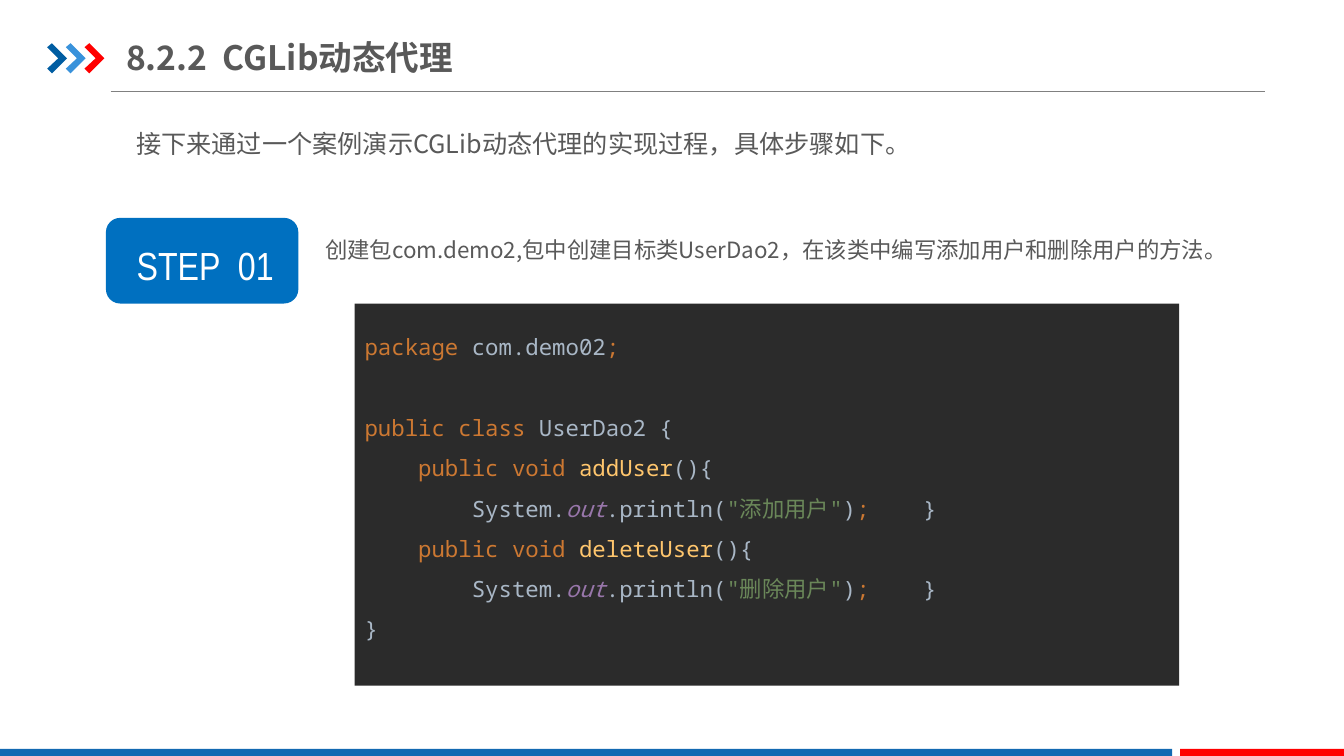
from copy import deepcopy

from lxml import etree
from pptx import Presentation
from pptx import util as u
from pptx.dml.color import RGBColor
from pptx.enum import shapes, text
from pptx.oxml import ns

COLORS = {
    "grey": "595959", "rule": "808080", "white": "FFFFFF", "badge": "0070C0",
    "navy": "005DA2", "sky": "3992DB", "red": "FF0000", "footer": "1369B2",
    "editor": "2B2B2B", "keyword": "CC7832", "plain": "A9B7C6",
    "method": "FFC66D", "field": "9876AA", "string": "6A8759",
}
SANS, MONO, NARROW = "Noto Sans CJK SC", "Noto Sans Mono", "Arial Narrow"

TITLE = "8.2.2  CGLib动态代理"
INTRO = "接下来通过一个案例演示CGLib动态代理的实现过程，具体步骤如下。"
BADGE = "STEP  01"
STEP = "创建包com.demo2,包中创建目标类UserDao2，在该类中编写添加用户和删除用户的方法。"
METHODS = [("addUser", "添加用户"), ("deleteUser", "删除用户")]

CHEVRON = [(0, 0.1), (0.12, 0), (0.5, 0.38), (0.12, 0.76), (0, 0.64), (0.28, 0.38)]
CHEVRON_COLORS = ["navy", "sky", "red"]
CHEVRON_LEFT, CHEVRON_TOP, CHEVRON_STEP = 1.19, 1.09, 0.47
FOOTER = [("footer", 0, 29.54), ("red", 29.74, 4.13)]


def method_lines(name, message):
    """Return the two code lines of one method as (colour, text) pairs."""
    return [
        [("keyword", "    public void "), ("method", name), ("plain", "(){")],
        [("plain", "        System."), ("field", "out"), ("plain", ".println("),
         ("string", '"'), ("string", message), ("string", '"'),
         ("plain", ")"), ("keyword", ";    "), ("plain", "}")],
    ]


CODE = [
    [("keyword", "package "), ("plain", "com.demo02"), ("keyword", ";")],
    [],
    [("keyword", "public class "), ("plain", "UserDao2 {")],
    *[line for method in METHODS for line in method_lines(*method)],
    [("plain", "}")],
    [],
]


def paint(shape, color):
    """Give a shape a plain fill without line or shadow."""
    shape.shadow.inherit = False
    shape.fill.solid()
    shape.fill.fore_color.rgb = RGBColor.from_string(COLORS[color])
    shape.line.fill.background()
    return shape


def add_block(page, kind, color, *place):
    """Add a filled preset shape at a place given in centimetres."""
    return paint(page.shapes.add_shape(kind, *map(u.Cm, place)), color)


def add_span(para, words, color, font, size, **styles):
    """Add a run with its Latin and East Asian font."""
    span = para.add_run()
    span.text = words
    for key, value in dict(name=font, size=u.Pt(size), **styles).items():
        setattr(span.font, key, value)
    span.font.color.rgb = RGBColor.from_string(COLORS[color])
    etree.SubElement(span._r.rPr, ns.qn("a:ea"), typeface=font)
    return span


def set_frame(frame, spacing=None, align=text.PP_ALIGN.LEFT, **formats):
    """Format a text frame and return its first paragraph."""
    for key, value in formats.items():
        setattr(frame, key, value)
    para = frame.paragraphs[0]
    para.alignment = align
    if spacing:
        para.line_spacing = spacing
    return para


def add_label(page, words, size, place, bold=False, spacing=None, **formats):
    """Add a one-line grey text box."""
    box = page.shapes.add_textbox(*map(u.Cm, place))
    para = set_frame(box.text_frame, spacing, **formats)
    add_span(para, words, "grey", SANS, size, bold=bold)


def add_header(page):
    """Draw the heading rule, the chevrons and the footer bars."""
    rule = page.shapes.add_connector(
        shapes.MSO_CONNECTOR.STRAIGHT, *map(u.Cm, (2.79, 2.31, 31.88, 2.31)))
    rule.line.color.rgb = RGBColor.from_string(COLORS["rule"])
    rule.line.width = u.Pt(0.5)
    etree.SubElement(rule._element.spPr, ns.qn("a:effectLst"))
    for index, color in enumerate(CHEVRON_COLORS):
        left = CHEVRON_LEFT + index * CHEVRON_STEP
        points = [(u.Cm(left + x), u.Cm(CHEVRON_TOP + y)) for x, y in CHEVRON]
        outline = page.shapes.build_freeform(*points[0])
        outline.add_line_segments(points[1:], close=True)
        paint(outline.convert_to_shape(), color)
    for color, left, width in FOOTER:
        add_block(page, shapes.MSO_SHAPE.RECTANGLE, color, left, 18.87, width, 0.22)


def add_code(page):
    """Draw the editor panel with its coloured code lines."""
    panel = add_block(page, shapes.MSO_SHAPE.RECTANGLE, "editor", 8.94, 7.65, 20.78, 9.63)
    para = set_frame(panel.text_frame, 1.5, word_wrap=True,
                     vertical_anchor=text.MSO_ANCHOR.MIDDLE)
    messages = [message for _, message in METHODS]
    for number, line in enumerate(CODE):
        if number:
            para.add_line_break()
            para._p[-1].append(deepcopy(span._r.rPr))
        for color, words in line:
            font = SANS if words in messages else MONO
            span = add_span(para, words, color, font, 16, italic=color == "field")
    ending = etree.SubElement(para._p, ns.qn("a:endParaRPr"), sz="1600")
    etree.SubElement(ending, ns.qn("a:latin"), typeface=MONO)


def main():
    """Build the slide and save it."""
    deck = Presentation()
    deck.slide_width, deck.slide_height = u.Cm(33.87), u.Cm(19.05)
    page = deck.slides.add_slide(deck.slide_layouts[6])
    add_header(page)
    badge = add_block(page, shapes.MSO_SHAPE.ROUNDED_RECTANGLE, "badge", 2.67, 5.49, 4.85, 2.16)
    para = set_frame(badge.text_frame, align=text.PP_ALIGN.CENTER, word_wrap=True,
                     vertical_anchor=text.MSO_ANCHOR.MIDDLE, margin_left=u.Cm(0.4),
                     margin_top=u.Cm(0.3), margin_bottom=u.Cm(0.1))
    add_span(para, BADGE, "white", NARROW, 28)
    add_label(page, STEP, 16, (7.95, 5.49, 23.57, 1.27), spacing=1.5, word_wrap=True)
    add_label(page, TITLE, 24, (3.18, 0.74, 8.99, 1.4), bold=True, word_wrap=True,
              vertical_anchor=text.MSO_ANCHOR.MIDDLE, margin_left=0, margin_right=0)
    add_label(page, INTRO, 18, (3.18, 3.1, 20.07, 1.02), word_wrap=False)
    add_code(page)
    deck.save("out.pptx")


if __name__ == "__main__":
    main()
